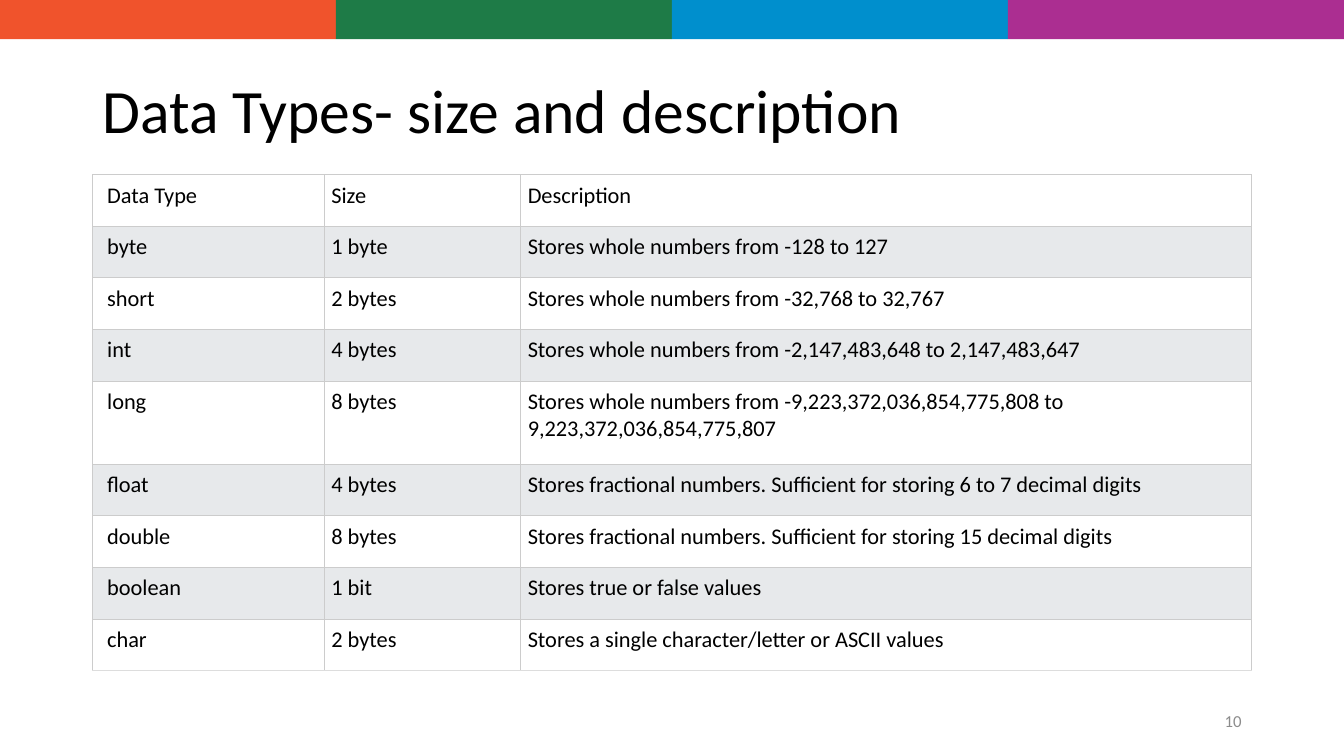
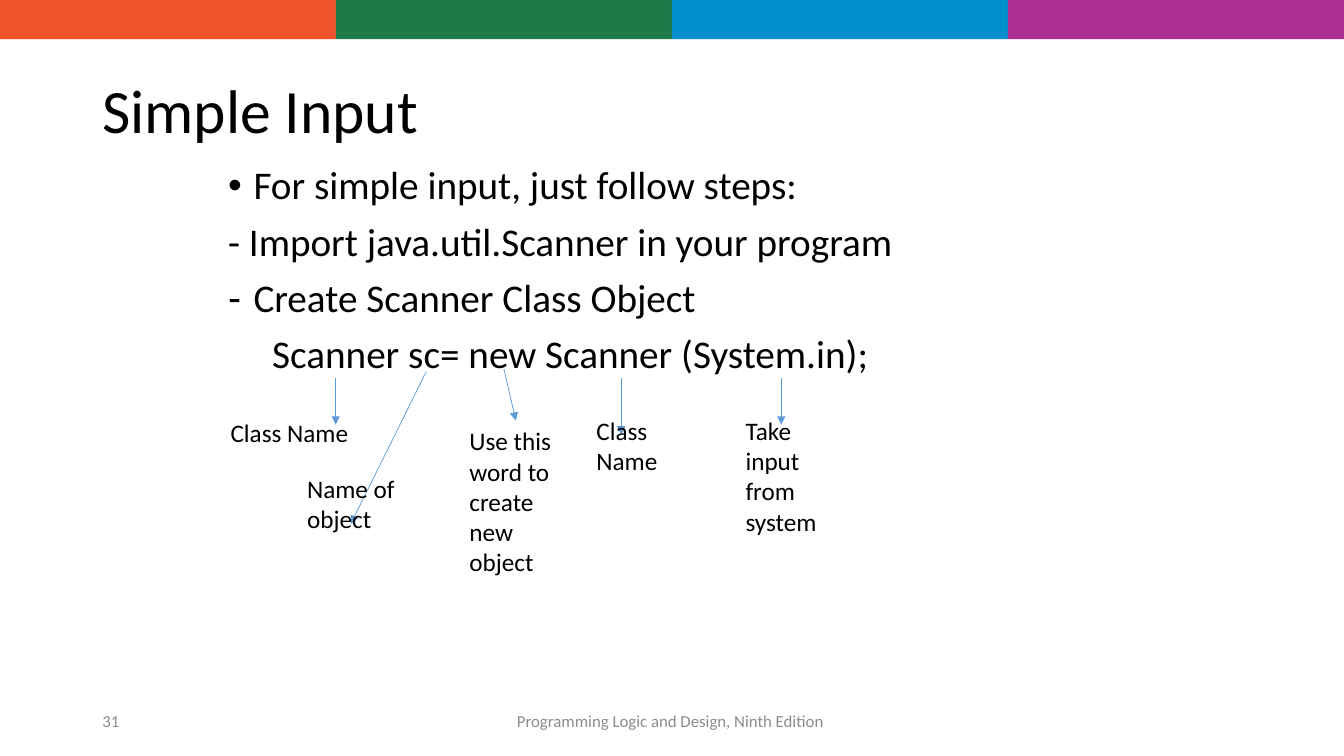
from dataclasses import dataclass

from lxml import etree
from pptx import Presentation
from pptx import util as u
from pptx.dml.color import RGBColor
from pptx.enum import shapes, text
from pptx.oxml.ns import qn


@dataclass(frozen=True)
class Theme:
    font: str = "Calibri"
    ink: str = "000000"
    muted: str = "8C8C8C"
    arrow: str = "5B9BD5"
    grid: str = "CCCCCC"
    grid_end: str = "DDDDDD"
    rows: tuple = ("FFFFFF", "E7E9EB")
    bands: tuple = ("F0532C", "1E7B47", "008FCD", "AB2E91")
    title_size: int = 44
    body_size: int = 28
    label_size: int = 18
    table_size: int = 16
    footer_size: int = 12


THEME = Theme()
LEFT, WIDTH = 2.33, 29.21
ALIGN, ANCHOR = text.PP_ALIGN, text.MSO_ANCHOR

DATA_TYPES = [
    ("Data Type", "Size", "Description"),
    ("byte", "1 byte", "Stores whole numbers from -128 to 127"),
    ("short", "2 bytes", "Stores whole numbers from -32,768 to 32,767"),
    ("int", "4 bytes", "Stores whole numbers from -2,147,483,648 to 2,147,483,647"),
    ("long", "8 bytes", "Stores whole numbers from -9,223,372,036,854,775,808 to 9,223,372,036,854,775,807"),
    ("float", "4 bytes", "Stores fractional numbers. Sufficient for storing 6 to 7 decimal digits"),
    ("double", "8 bytes", "Stores fractional numbers. Sufficient for storing 15 decimal digits"),
    ("boolean", "1 bit", "Stores true or false values"),
    ("char", "2 bytes", "Stores a single character/letter or ASCII values"),
]

# Text, bullet, left indent in cm
STEPS = [
    ("For simple input, just follow steps:", "•", 0.64),
    ("- Import java.util.Scanner in your program", None, 0),
    ("Create Scanner Class Object", "-", 0.64),
    ("Scanner sc= new Scanner (System.in);", None, 1.11),
]

# Label, its box, then the arrow's start and end, in cm
CALLOUTS = [
    ("Class Name", (5.56, 10.39, 4.11, 1.02), (8.46, 9.52), (8.46, 10.7)),
    ("Name of object", (7.49, 11.79, 2.84, 1.8), (10.74, 9.37), (8.84, 13.2)),
    ("Use this word to create new object", (11.58, 10.6, 2.84, 4.11), (12.7, 9.3), (13, 10.6)),
    ("Class Name", (14.78, 10.34, 2.84, 1.8), (15.65, 9.52), (15.65, 10.95)),
    ("Take input from system", (18.54, 10.34, 2.84, 3.33), (19.69, 9.52), (19.69, 10.7)),
]


def cm(*values):
    return [u.Cm(value) for value in values]


def rgb(colour):
    return RGBColor.from_string(colour)


def style(para, size, colour=THEME.ink):
    for span in para.runs:
        span.font.name = THEME.font
        span.font.size = u.Pt(size)
        span.font.color.rgb = rgb(colour)


def add_text(page, words, place, size, colour=THEME.ink, align=ALIGN.LEFT, anchor=ANCHOR.TOP):
    box = page.shapes.add_textbox(*cm(*place))
    frame = box.text_frame
    frame.word_wrap = True
    frame.vertical_anchor = anchor
    frame.text = words
    for para in frame.paragraphs:
        para.alignment = align
        style(para, size, colour)
    return frame


def add_page(deck, title):
    page = deck.slides.add_slide(deck.slide_layouts[6])
    # Colour bands along the top
    band_width = deck.slide_width // len(THEME.bands)
    for index, colour in enumerate(THEME.bands):
        band = page.shapes.add_shape(
            shapes.MSO_SHAPE.RECTANGLE, index * band_width, 0, band_width, u.Cm(0.99))
        band.shadow.inherit = False
        band.fill.solid()
        band.fill.fore_color.rgb = rgb(colour)
        band.line.fill.background()
    # Title
    frame = add_text(page, title, (LEFT, 1.02, WIDTH, 3.68), THEME.title_size, anchor=ANCHOR.MIDDLE)
    frame.paragraphs[0].line_spacing = 0.9
    return page


def add_footer(page, words, left, width, align):
    add_text(page, words, (left, 17.65, width, 1.02), THEME.footer_size,
             THEME.muted, align, ANCHOR.MIDDLE)


def set_borders(cell, last_row):
    properties = cell._tc.get_or_add_tcPr()
    for side in ("lnL", "lnR", "lnT", "lnB"):
        edge = etree.SubElement(properties, qn(f"a:{side}"), w=str(u.Pt(0.75)))
        fill = etree.SubElement(edge, qn("a:solidFill"))
        colour = THEME.grid_end if last_row and side == "lnB" else THEME.grid
        etree.SubElement(fill, qn("a:srgbClr"), val=colour)


def add_data_table(page, rows, widths):
    table = page.shapes.add_table(len(rows), len(widths), *cm(LEFT, 4.4, WIDTH, 12.5)).table
    table.first_row = table.horz_banding = False
    for column, width in zip(table.columns, widths):
        column.width = u.Cm(width)
    for row_index, values in enumerate(rows):
        # The row for long wraps onto a second line
        table.rows[row_index].height = u.Cm(2.1 if values[0] == "long" else 1.3)
        for column_index, value in enumerate(values):
            cell = table.cell(row_index, column_index)
            cell.margin_left = u.Cm(0.18 if column_index else 0.37)
            cell.margin_right = cell.margin_top = cell.margin_bottom = u.Cm(0.18)
            set_borders(cell, row_index == len(rows) - 1)
            cell.fill.solid()
            cell.fill.fore_color.rgb = rgb(THEME.rows[row_index % 2])
            cell.text_frame.text = value
            style(cell.text_frame.paragraphs[0], THEME.table_size)


def add_steps(page, steps):
    words = "\n".join(step[0] for step in steps)
    frame = add_text(page, words, (5.5, 4.06, 22.86, 12.57), THEME.body_size)
    for index, (para, (_, bullet, indent)) in enumerate(zip(frame.paragraphs, steps)):
        properties = para._p.get_or_add_pPr()
        properties.set("marL", str(u.Cm(indent)))
        if bullet:
            properties.set("indent", str(-u.Cm(indent)))
            etree.SubElement(properties, qn("a:buFont"), typeface="Arial")
            etree.SubElement(properties, qn("a:buChar"), char=bullet)
        para.line_spacing = 0.9
        para.space_before = u.Pt(10 if index else 0)


def add_arrow(page, start, end):
    arrow = page.shapes.add_connector(shapes.MSO_CONNECTOR.STRAIGHT, *cm(*start, *end))
    arrow.line.color.rgb = rgb(THEME.arrow)
    arrow.line.width = u.Pt(0.5)
    etree.SubElement(arrow.line._get_or_add_ln(), qn("a:tailEnd"), type="triangle")
    etree.SubElement(arrow._element.spPr, qn("a:effectLst"))


def main():
    deck = Presentation()
    deck.slide_width, deck.slide_height = cm(33.87, 19.05)

    # Data types
    page = add_page(deck, "Data Types- size and description")
    add_data_table(page, DATA_TYPES, (5.84, 4.95, 18.42))
    add_footer(page, "10", 23.92, 7.62, ALIGN.RIGHT)

    # Simple input
    page = add_page(deck, "Simple Input")
    add_steps(page, STEPS)
    add_footer(page, "31", LEFT, 7.62, ALIGN.LEFT)
    add_footer(page, "Programming Logic and Design, Ninth Edition", 11.18, 11.43, ALIGN.CENTER)
    for _, _, start, end in CALLOUTS:
        add_arrow(page, start, end)
    for label, place, _, _ in CALLOUTS:
        add_text(page, label, place, THEME.label_size)

    deck.save("out.pptx")


if __name__ == "__main__":
    main()
